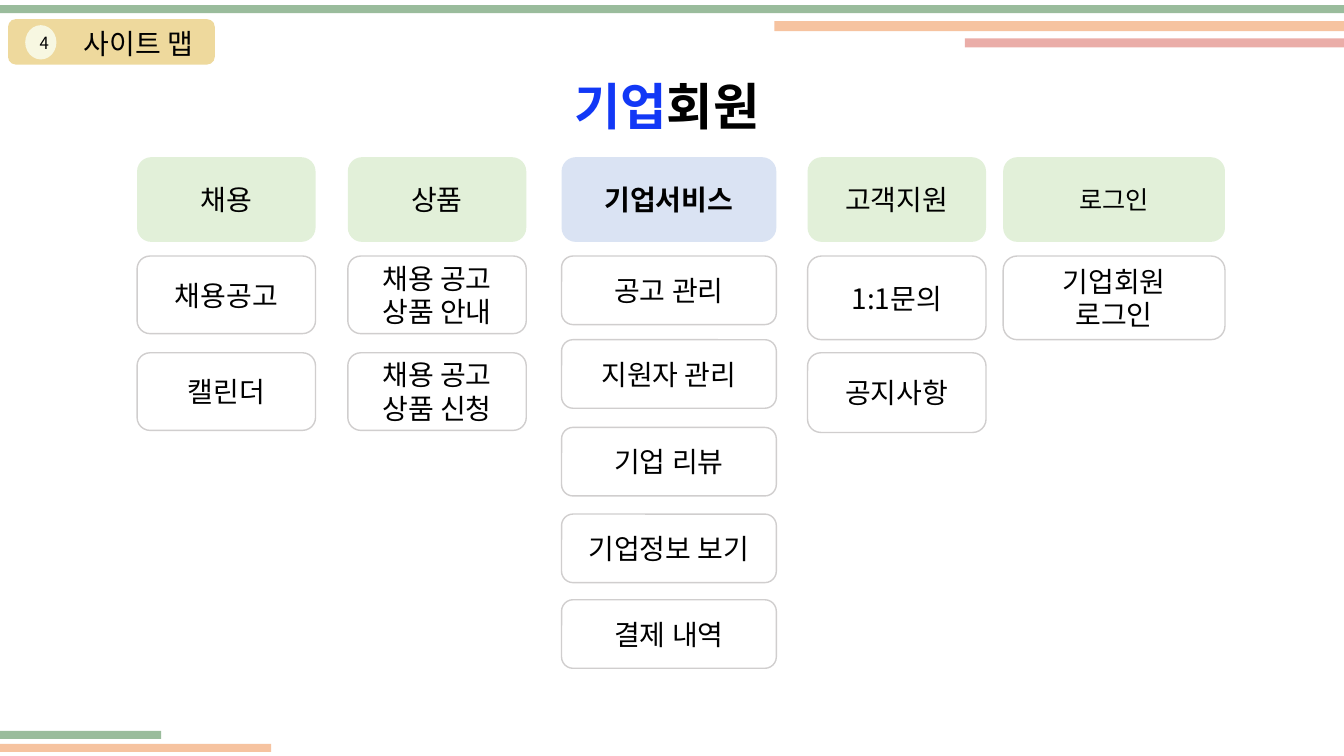
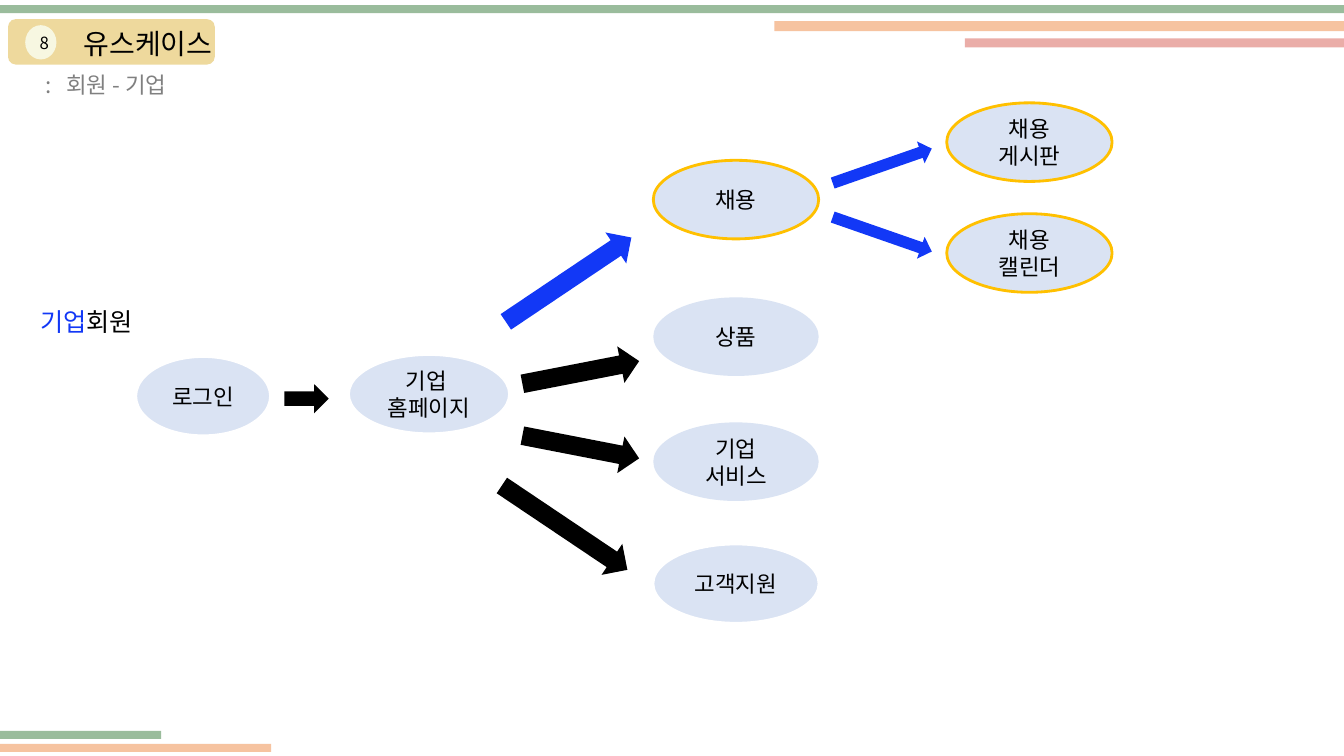
from lxml import etree
from pptx import Presentation
from pptx.dml.color import RGBColor
from pptx.enum.shapes import MSO_SHAPE
from pptx.enum.text import MSO_ANCHOR, PP_ALIGN
from pptx.oxml.ns import qn
from pptx.util import Inches, Pt

RECT, ROUND = MSO_SHAPE.RECTANGLE, MSO_SHAPE.ROUNDED_RECTANGLE
OVAL, ARROW = MSO_SHAPE.OVAL, MSO_SHAPE.RIGHT_ARROW
LEFT, MID = PP_ALIGN.LEFT, PP_ALIGN.CENTER
TOP, CENTER = MSO_ANCHOR.TOP, MSO_ANCHOR.MIDDLE


class Theme:
    font = "Noto Sans CJK KR"
    ink, gray, white, blue = "000000", "808080", "FFFFFF", "1238F6"
    green, peach, rose = "9ABC9C", "F6C3A0", "EAADA8"
    tab, dot = "EED99D", "F7F7E1"
    mint, pale, edge, gold = "E2F0D9", "DAE3F3", "D0CECE", "FFC000"
    title, body, label, node, small = 36, 20, 18, 16, 12


def write(shape, lines, size, align=MID, anchor=CENTER, bold=False):
    """Fill a shape with lines, each a list of (text, colour) runs."""
    frame = shape.text_frame
    frame.word_wrap = True
    frame.vertical_anchor = anchor
    for i, line in enumerate(lines):
        para = frame.paragraphs[0] if i == 0 else frame.add_paragraph()
        para.alignment = align
        for text, color in line:
            run = para.add_run()
            run.text = text
            font = run.font
            font.name, font.size, font.bold = Theme.font, Pt(size), bold
            font.color.rgb = RGBColor.from_string(color)
            east = etree.SubElement(run._r.get_or_add_rPr(), qn("a:ea"))
            east.set("typeface", Theme.font)


def draw(slide, kind, box, fill, line=None, width=1, text="", size=Theme.body,
         align=MID, bold=False):
    """Add a filled shape; a newline in its text starts a paragraph."""
    shape = slide.shapes.add_shape(kind, *map(Inches, box))
    shape.shadow.inherit = False
    shape.fill.solid()
    shape.fill.fore_color.rgb = RGBColor.from_string(fill)
    if line:
        shape.line.color.rgb = RGBColor.from_string(line)
        shape.line.width = Pt(width)
    else:
        shape.line.fill.background()
    if text:
        lines = [[(part, Theme.ink)] for part in text.split("\n")]
        write(shape, lines, size, align, bold=bold)
    return shape


deck = Presentation()
deck.slide_width, deck.slide_height = Inches(13.33), Inches(7.5)

# Shared frame: colour bands, tab, number and heading
bands = [
    ((0, 0.05, 13.33, 0.08), Theme.green),
    ((7.68, 0.21, 5.65, 0.1), Theme.peach),
    ((9.57, 0.38, 3.76, 0.09), Theme.rose),
    ((0, 7.25, 1.6, 0.08), Theme.green),
    ((0, 7.38, 2.69, 0.08), Theme.peach),
]
pages = []
for number, heading in [("4", "사이트 맵"), ("8", "유스케이스")]:
    slide = deck.slides.add_slide(deck.slide_layouts[6])
    for box, color in bands:
        draw(slide, RECT, box, color)
    draw(slide, ROUND, (0.08, 0.19, 2.05, 0.45), Theme.tab)
    draw(slide, OVAL, (0.25, 0.25, 0.31, 0.34), Theme.dot,
         text=number, size=Theme.small, align=LEFT)
    head = slide.shapes.add_textbox(*map(Inches, (0.73, 0.21, 2.05, 0.44)))
    write(head, [[(heading, Theme.ink)]], Theme.body, LEFT, TOP)
    pages.append(slide)
site, usage = pages
member = [[("기업", Theme.blue), ("회원", Theme.ink)]]

# Site map
title = site.shapes.add_textbox(*map(Inches, (5.52, 0.7, 2.19, 0.71)))
write(title, member, Theme.title, MID, TOP, True)

# Each column: left, width, heading, [(top, height, text)]
rows = [2.54, 3.5]
steps = [2.54, 3.37, 4.24, 5.1, 5.95]
menus = ["공고 관리", "지원자 관리", "기업 리뷰", "기업정보 보기", "결제 내역"]
columns = [
    (1.36, 1.77, "채용",
     [(rows[0], 0.77, "채용공고"), (rows[1], 0.77, "캘린더")]),
    (3.45, 1.77, "상품",
     [(rows[0], 0.77, "채용 공고\n상품 안내"),
      (rows[1], 0.77, "채용 공고\n상품 신청")]),
    (5.57, 2.13, "기업서비스",
     [(top, 0.68, menu) for top, menu in zip(steps, menus)]),
    (8.01, 1.77, "고객지원",
     [(rows[0], 0.83, "1:1문의"), (rows[1], 0.79, "공지사항")]),
    (9.95, 2.2, "로그인", [(rows[0], 0.83, "기업회원\n로그인")]),
]
for left, wide, name, items in columns:
    main = name == "기업서비스"
    draw(site, ROUND, (left, 1.56, wide, 0.84),
         Theme.pale if main else Theme.mint, text=name, bold=main,
         size=Theme.label if name == "로그인" else Theme.body)
    for top, high, text in items:
        draw(site, ROUND, (left, top, wide, high), Theme.white, Theme.edge,
             text=text)

# Use case
note = usage.shapes.add_textbox(*map(Inches, (0.35, 0.66, 1.64, 0.37)))
props = note.text_frame.paragraphs[0]._p.get_or_add_pPr()
stops = etree.SubElement(props, qn("a:tabLst"))
etree.SubElement(stops, qn("a:tab"), pos=str(Inches(0.21)), algn="l")
write(note, [[(":\t회원 - 기업", Theme.gray)]], Theme.node, LEFT, TOP)

actor = usage.shapes.add_textbox(*map(Inches, (0.3, 2.99, 1.29, 0.4)))
write(actor, member, Theme.label, LEFT, TOP)

nodes = [
    (1.35, 3.54, 1.33, "로그인", Theme.white, 1.5),
    (3.46, 3.52, 1.59, "기업 \n홈페이지", Theme.white, 1.5),
    (6.48, 1.59, 1.64, "채용", Theme.gold, 2),
    (6.48, 2.95, 1.64, "상품", None, 0),
    (6.48, 4.19, 1.64, "기업\n서비스", None, 0),
    (6.48, 5.4, 1.64, "고객지원", Theme.white, 1.5),
    (9.39, 1.02, 1.64, "채용\n게시판", Theme.gold, 2),
    (9.39, 2.12, 1.64, "채용\n캘린더", Theme.gold, 2),
]
for left, top, wide, text, line, width in nodes:
    draw(usage, OVAL, (left, top, wide, 0.78), Theme.pale, line, width,
         text, Theme.node)

arrows = [
    ((2.82, 3.81, 0.44, 0.29), 0, Theme.ink),
    ((4.89, 2.59, 1.5, 0.37), -33.9, Theme.blue),
    ((5.17, 3.51, 1.18, 0.37), -11, Theme.ink),
    ((5.17, 4.25, 1.18, 0.37), 11, Theme.ink),
    ((4.85, 5.05, 1.5, 0.37), 33.9, Theme.ink),
    ((8.23, 1.53, 1.04, 0.23), -19.2, Theme.blue),
    ((8.23, 2.21, 1.04, 0.23), 19.2, Theme.blue),
]
for box, tilt, color in arrows:
    draw(usage, ARROW, box, color).rotation = tilt

deck.save("out.pptx")
